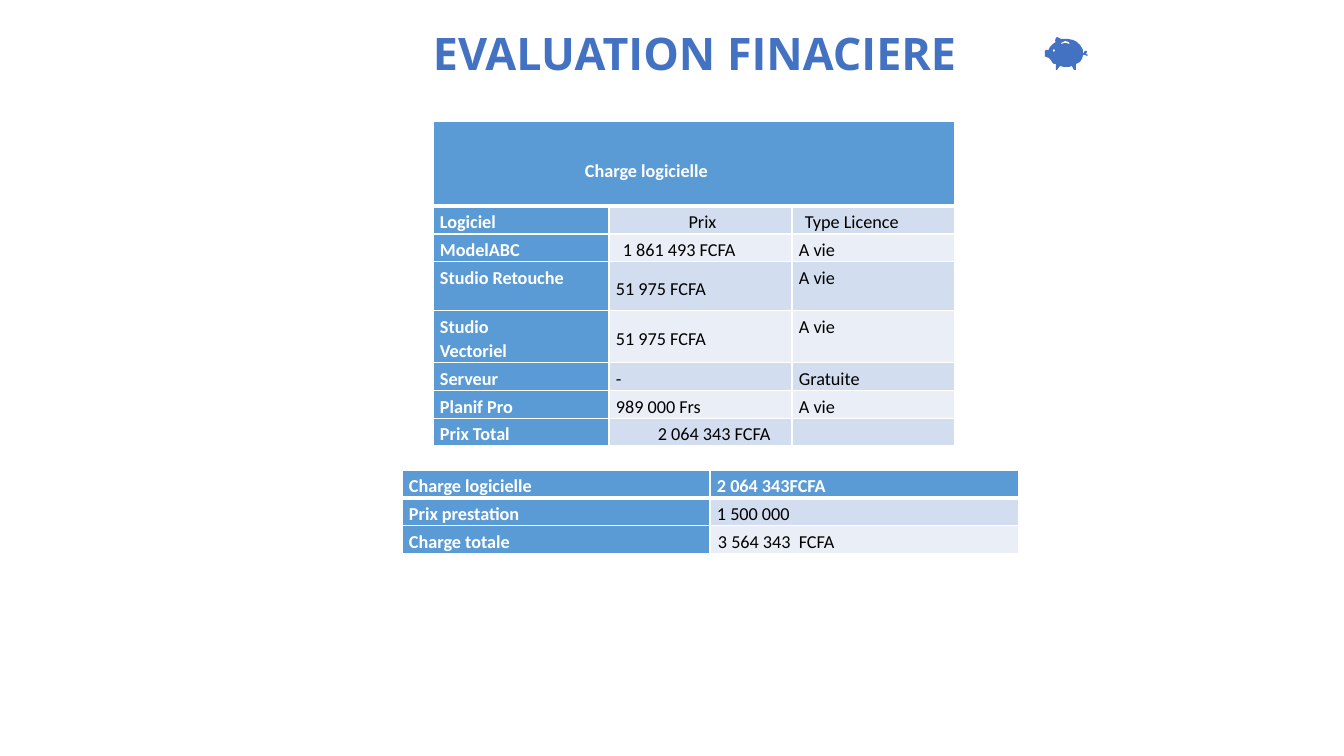
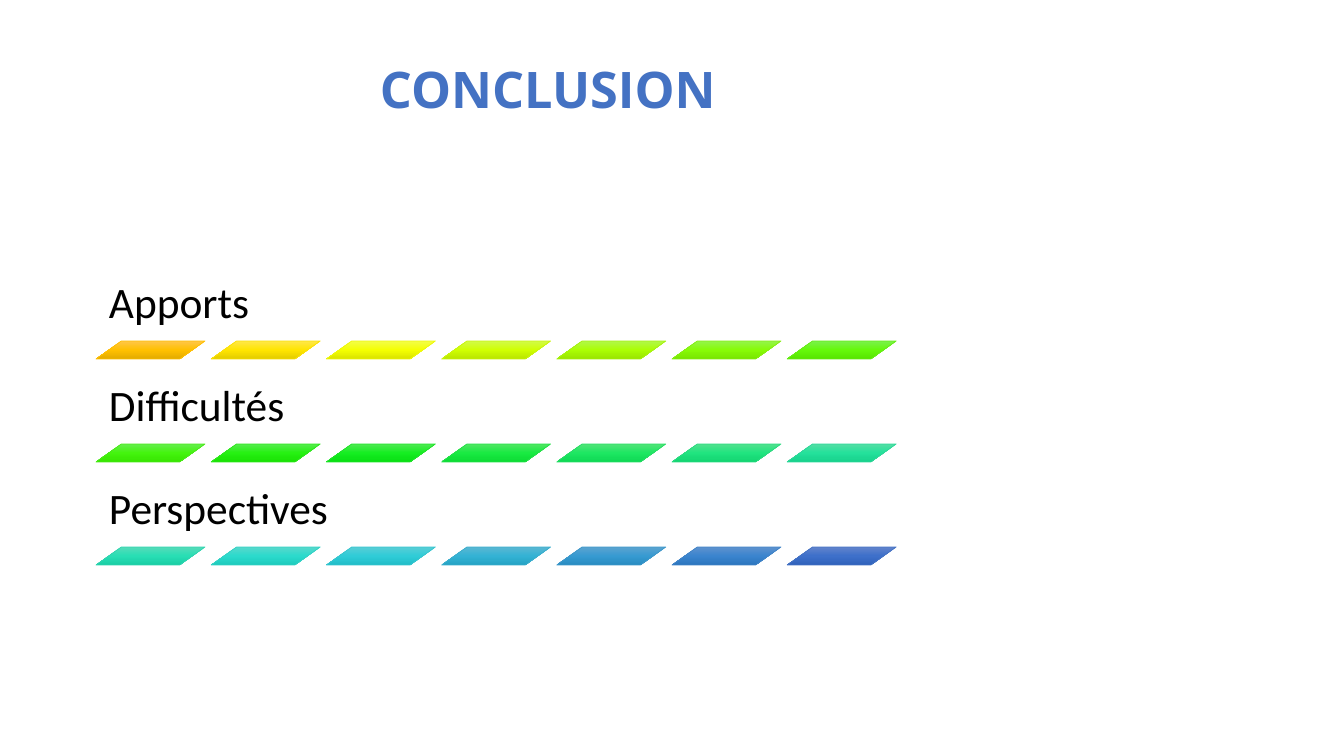
"""Build the financial evaluation and conclusion slides."""
import copy
import dataclasses

import lxml.etree
import pptx
import pptx.dml.color
import pptx.enum.shapes
import pptx.enum.text
import pptx.oxml.ns
import pptx.util

ANCHOR = pptx.enum.text.MSO_ANCHOR
ALIGN = pptx.enum.text.PP_ALIGN


@dataclasses.dataclass(frozen=True)
class Theme:
    title_font: str = "Open Sans"
    body_font: str = "Calibri"
    accent: str = "4472C3"
    header: str = "5B9BD5"
    bands: tuple = ("D2DEEF", "EAEFF7")
    white: str = "FFFFFF"
    black: str = "000000"
    cell_size: int = 13
    topic_size: int = 31
    thin: float = 1
    thick: float = 3
    tile_line: float = 0.5


THEME = Theme()
SLIDE_SIZE = (1344, 756)
EMU_PER_PX = 914400 / 100.8

TITLES = {
    "evaluation": dict(text="EVALUATION FINACIERE", box=(433, 26, 911, 54), size=32,
                       insets=(0, 0, 0, 0), anchor=ANCHOR.MIDDLE),
    "conclusion": dict(text="CONCLUSION", box=(370, 53, 451, 72), size=36,
                       insets=(10, 5, 10, 5), anchor=ANCHOR.TOP),
}

MIDDLE = {"vertical_anchor": ANCHOR.MIDDLE}
SOFTWARE_COSTS = dict(
    origin=(433, 121), columns=(176, 183, 163),
    heights=(85, 28, 27, 49, 52, 27, 27, 27), right_inset=3, title_row=True,
    rows=[
        [("Charge logicielle", {"indent": 145, "drop": 34}), "", ""],
        ["Logiciel", ("Prix", {"alignment": ALIGN.CENTER}), ("Type Licence", {"indent": 6})],
        ["ModelABC", ("1 861 493 FCFA", {"indent": 7}), "A vie"],
        ["Studio Retouche", ("51 975 FCFA", MIDDLE), "A vie"],
        ["Studio\nVectoriel", ("51 975 FCFA", MIDDLE), "A vie"],
        ["Serveur", "-", "Gratuite"],
        ["Planif Pro", "989 000 Frs", "A vie"],
        ["Prix Total", ("2 064 343 FCFA", {"indent": 42}), ""],
    ])
TOTAL_COSTS = dict(
    origin=(402, 470), columns=(308, 309), heights=(27, 27, 27), right_inset=8,
    title_row=False,
    rows=[
        ["Charge logicielle", "2 064 343FCFA"],
        ["Prix prestation", "1\u00a0500 000"],
        ["Charge totale", ("3\u00a0564 343  FCFA", {"indent": 1})],
    ])

PIGGY_ORIGIN = (1045, 37)
PIGGY_BODY = [
    (12, 0), (11, 1), (10, 4), (11, 5), (8, 7), (6, 9), (5, 10), (4, 12), (4, 13),
    (1, 13), (0, 14), (0, 19), (1, 20), (4, 21), (6, 23), (7, 25), (9, 27), (11, 27),
    (11, 33), (12, 33), (15, 29), (19, 30), (24, 30), (27, 29), (29, 33), (31, 33),
    (31, 27), (33, 26), (35, 25), (37, 22), (38, 19), (38, 18), (40, 18), (42, 19),
    (43, 18), (41, 17), (42, 15), (42, 14), (40, 14), (39, 15), (39, 16), (38, 16),
    (38, 13), (37, 11), (35, 8), (32, 5), (28, 3), (23, 2), (16, 2), (14, 1)]
PIGGY_SLOT = [(16, 7), (16, 6), (20, 4), (24, 5), (25, 7), (20, 6)]
PIGGY_EYE = [(8, 13), (9, 12), (10, 13), (10, 14), (9, 15), (8, 14)]

TOPICS = [
    ("Apports", [
        "FFC64B FFC000 E3AB00 FFC000", "FFE74B FFE500 E3CC00 FCE204",
        "F3FD4B F4FF01 DAE300 EFF907", "D1FA4B D0FF01 B9E400 CAF60A",
        "B1F74C ABFE03 99E400 A7F30E", "94F44C 87FB06 78E500 86F011",
        "7AF14D 65F80A 57E500 67ED15"]),
    ("Difficultés", [
        "65EE4E 44F40E 37E501 4AEA18", "55EC4E 26F112 19E104 2EE71C",
        "4FE953 15EE21 08DE13 1FE429", "51E663 19EA42 0CDB34 23E148",
        "52E378 1DE762 0FD854 26DE65", "53E18E 20E47F 13D471 29DB80",
        "54DEA4 24E19B 17D18C 2DD899"]),
    ("Perspectives", [
        "56DBB9 28DEB4 1ACEA5 30D5B0", "58D8CC 2BDACC 1ECBBD 33D2C5",
        "59CDD6 2FCCD7 21BDC8 37C6CF", "5BB7D3 33B2D4 25A3C4 3AAECD",
        "5DA3D0 369AD1 298CC1 3D98CA", "5F92CE 3A84CE 2C76BE 4184C7",
        "6183CB 3E70CA 3062BB 4472C4"]),
]
TOPIC_LEFT, TOPIC_TOP, TOPIC_PITCH = 96, 266, 103
TOPIC_SIZE = (816, 75)
TILE_SIZE, TILE_PITCH, TILE_SLANT = (109, 18), 115.2, 1.408


def px(length):
    return pptx.util.Emu(round(length * EMU_PER_PX))


def rgb(code):
    return pptx.dml.color.RGBColor.from_string(code)


def apply(target, values):
    for name, value in values.items():
        setattr(target, name, value)


def margins(*insets):
    sides = ("margin_left", "margin_top", "margin_right", "margin_bottom")
    return dict(zip(sides, map(px, insets)))


def format_text(paragraph, family, size, color, bold=False, **layout):
    apply(paragraph, layout)
    for run in paragraph.runs:
        apply(run.font, dict(name=family, size=pptx.util.Pt(size), bold=bold))
        run.font.color.rgb = rgb(color)


def add_titled_slide(deck, title):
    slide = deck.slides.add_slide(deck.slide_layouts[5])
    heading = slide.shapes.title
    apply(heading, dict(zip(("left", "top", "width", "height"), map(px, title["box"]))))
    frame = heading.text_frame
    frame.text = title["text"]
    apply(frame, dict(margins(*title["insets"]), vertical_anchor=title["anchor"],
                      word_wrap=True, auto_size=pptx.enum.text.MSO_AUTO_SIZE.NONE))
    format_text(frame.paragraphs[0], THEME.title_font, title["size"], THEME.accent, True,
                alignment=ALIGN.LEFT)
    return slide


def add_borders(cell, row):
    properties = cell._tc.get_or_add_tcPr()
    thick_edge = {0: "B", 1: "T"}.get(row)
    for edge in "LRTB":
        width = THEME.thick if edge == thick_edge else THEME.thin
        line = lxml.etree.SubElement(properties, pptx.oxml.ns.qn(f"a:ln{edge}"),
                                     w=str(pptx.util.Pt(width)))
        fill = lxml.etree.SubElement(line, pptx.oxml.ns.qn("a:solidFill"))
        lxml.etree.SubElement(fill, pptx.oxml.ns.qn("a:srgbClr"), val=THEME.white)


def fill_cell(cell, entry, row, column, right_inset):
    text, options = entry if isinstance(entry, tuple) else (entry, {})
    is_header = row == 0 or column == 0
    add_borders(cell, row)
    cell.fill.solid()
    cell.fill.fore_color.rgb = rgb(THEME.header if is_header else THEME.bands[(row - 1) % 2])
    cell.text = text
    apply(cell, dict(margins(7 + options.get("indent", 0), 4 + options.get("drop", 0),
                             right_inset, 0),
                     vertical_anchor=options.get("vertical_anchor", ANCHOR.TOP)))
    for paragraph in cell.text_frame.paragraphs:
        format_text(paragraph, THEME.body_font, THEME.cell_size,
                    THEME.white if is_header else THEME.black, is_header,
                    alignment=options.get("alignment", ALIGN.LEFT), line_spacing=1.07)
        paragraph._p.get_or_add_endParaRPr().set("sz", str(THEME.cell_size * 100))


def add_costs(slide, costs):
    rows, columns, heights = costs["rows"], costs["columns"], costs["heights"]
    table = slide.shapes.add_table(
        len(rows), len(columns), *map(px, (*costs["origin"], sum(columns), sum(heights)))).table
    apply(table, dict(first_row=False, horz_banding=False))
    for column, width in zip(table.columns, columns):
        column.width = px(width)
    for row, height in zip(table.rows, heights):
        row.height = px(height)
    for r, entries in enumerate(rows):
        for c, entry in enumerate(entries):
            fill_cell(table.cell(r, c), entry, r, c, costs["right_inset"])
    if costs["title_row"]:
        table.cell(0, 0).merge(table.cell(0, len(columns) - 1))


def add_piggy_bank(slide):
    outline = slide.shapes.build_freeform(*PIGGY_BODY[0], scale=EMU_PER_PX)
    outline.add_line_segments(PIGGY_BODY[1:], close=True)
    for hole in (PIGGY_SLOT, PIGGY_EYE):
        outline.move_to(*hole[0])
        outline.add_line_segments(hole[1:], close=True)
    piggy = outline.convert_to_shape(*map(px, PIGGY_ORIGIN))
    piggy.shadow.inherit = False
    piggy.fill.solid()
    piggy.fill.fore_color.rgb = rgb(THEME.accent)
    piggy.line.fill.background()


def add_tile(slide, left, top, colors):
    *stops, edge = colors.split()
    tile = slide.shapes.add_shape(pptx.enum.shapes.MSO_SHAPE.PARALLELOGRAM,
                                  *map(px, (left, top, *TILE_SIZE)))
    tile.adjustments[0] = TILE_SLANT
    tile.shadow.inherit = False
    tile.fill.gradient()
    tile.fill.gradient_angle = 270
    stop_list = tile._element.spPr.find(".//" + pptx.oxml.ns.qn("a:gsLst"))
    stop_list.insert(1, copy.deepcopy(stop_list[0]))
    for stop, color, position in zip(tile.fill.gradient_stops, stops, (0, 0.5, 1)):
        stop.color.rgb = rgb(color)
        stop.position = position
    tile.line.color.rgb = rgb(edge)
    tile.line.width = pptx.util.Pt(THEME.tile_line)


def add_topic(slide, index, name, tiles):
    top = TOPIC_TOP + index * TOPIC_PITCH
    frame = slide.shapes.add_textbox(*map(px, (TOPIC_LEFT, top, *TOPIC_SIZE))).text_frame
    frame.text = name
    apply(frame, dict(margins(13, 13, 13, 13), word_wrap=True, vertical_anchor=ANCHOR.BOTTOM))
    format_text(frame.paragraphs[0], THEME.body_font, THEME.topic_size, THEME.black,
                line_spacing=0.9)
    for position, colors in enumerate(tiles):
        add_tile(slide, TOPIC_LEFT + position * TILE_PITCH, top + TOPIC_SIZE[1], colors)


def main():
    deck = pptx.Presentation()
    apply(deck, dict(zip(("slide_width", "slide_height"), map(px, SLIDE_SIZE))))
    evaluation = add_titled_slide(deck, TITLES["evaluation"])
    add_piggy_bank(evaluation)
    for costs in (SOFTWARE_COSTS, TOTAL_COSTS):
        add_costs(evaluation, costs)
    conclusion = add_titled_slide(deck, TITLES["conclusion"])
    for index, (name, tiles) in enumerate(TOPICS):
        add_topic(conclusion, index, name, tiles)
    deck.save("out.pptx")


main()
